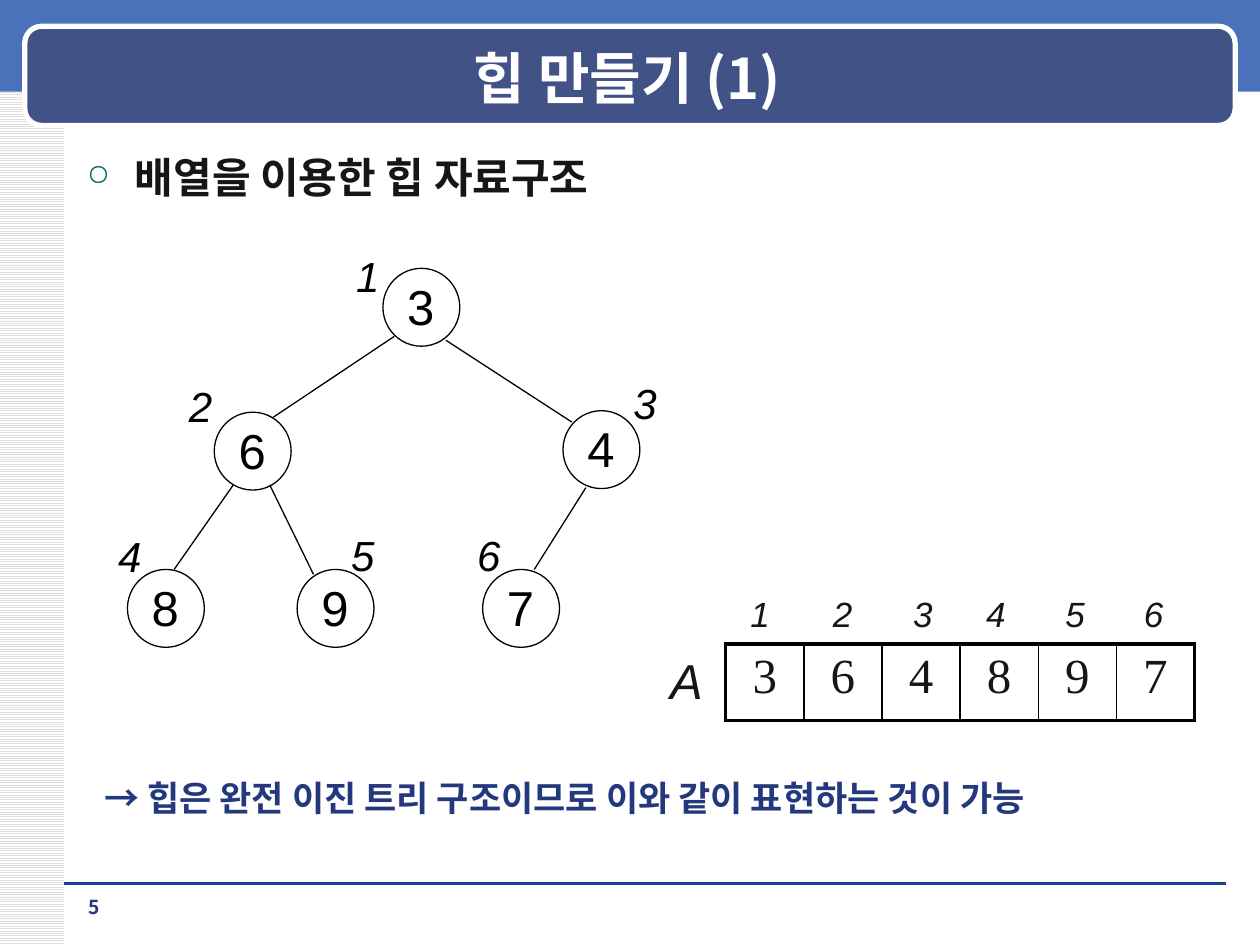
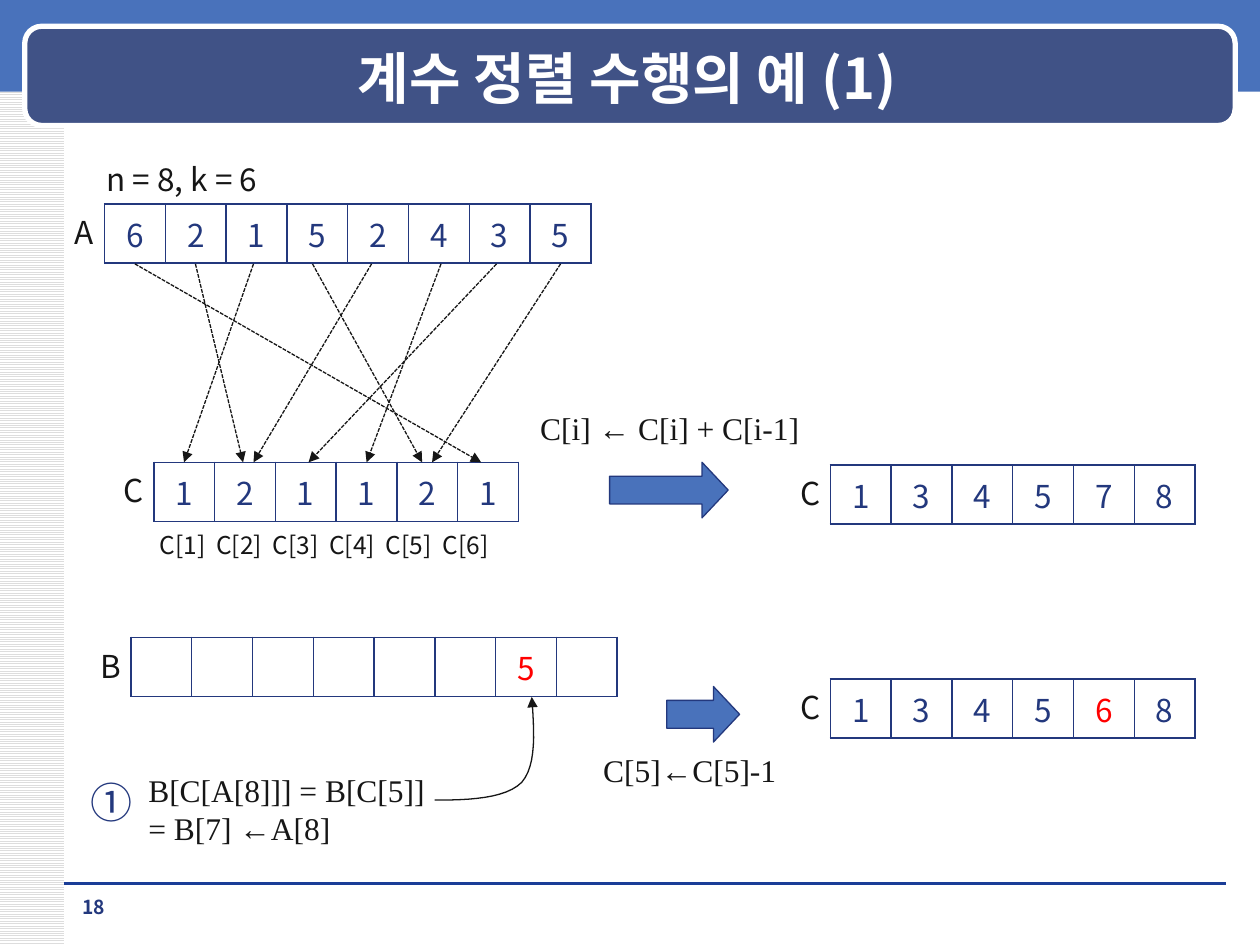
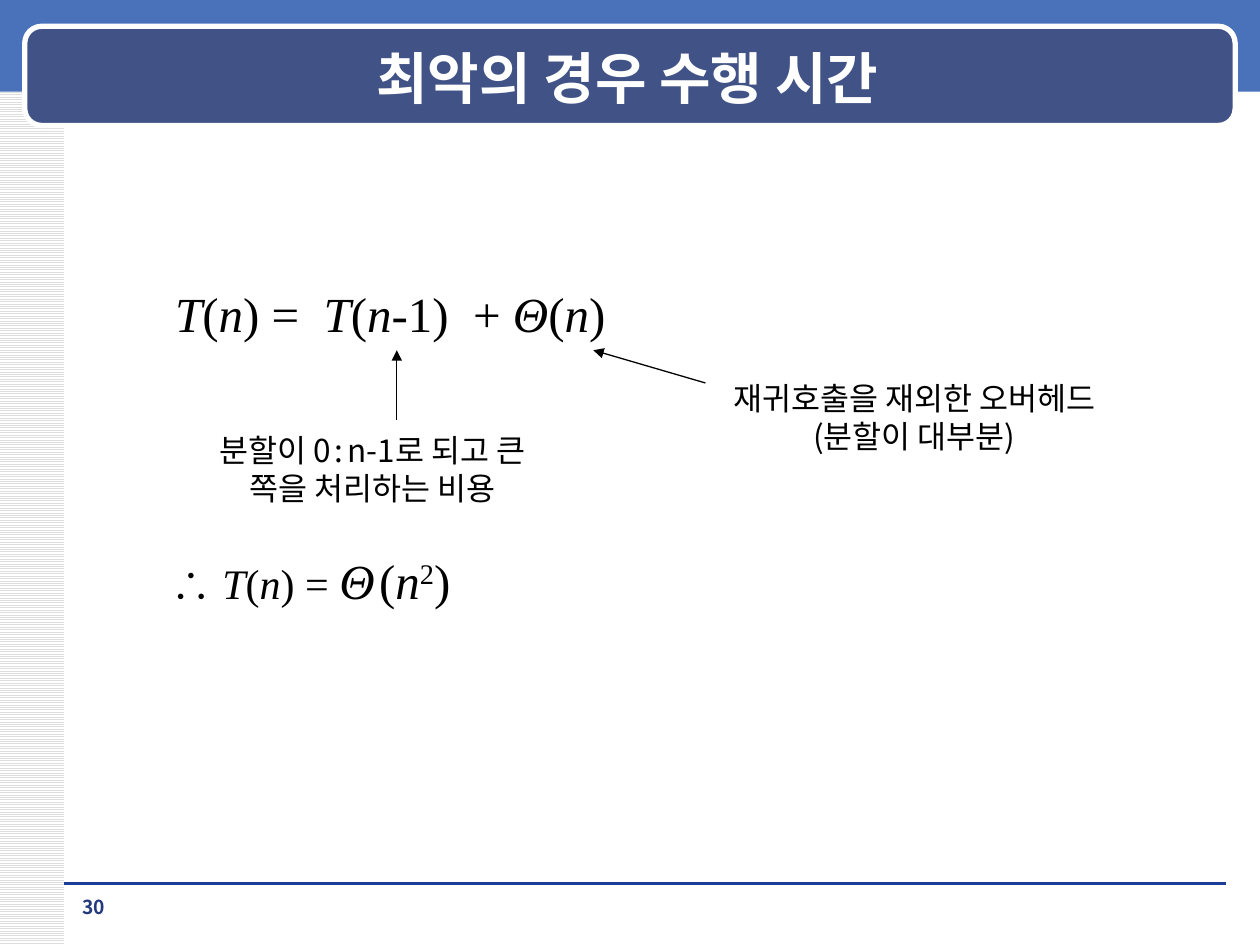
from dataclasses import dataclass, replace
from typing import Optional

from lxml.etree import SubElement as Sub
from pptx import Presentation
from pptx.dml.color import RGBColor as RGB
from pptx.enum.dml import MSO_LINE as Dash, MSO_PATTERN as Pat
from pptx.enum.shapes import MSO_CONNECTOR as Conn, MSO_SHAPE as Geo
from pptx.enum.text import MSO_ANCHOR as Anchor, MSO_AUTO_SIZE as Auto, PP_ALIGN as Align
from pptx.oxml.ns import qn
from pptx.util import Cm, Pt

# Colours and fonts
BLACK = RGB(0x00, 0x00, 0x00)
WHITE = RGB(0xFF, 0xFF, 0xFF)
DARK = RGB(0x16, 0x16, 0x16)
NAVY = RGB(0x23, 0x38, 0x7D)
BLUE = RGB(0x49, 0x72, 0xBB)
PLATE = RGB(0x40, 0x52, 0x86)
RULE = RGB(0x1A, 0x3D, 0x97)
GREY = RGB(0xDD, 0xDD, 0xDD)
TEAL = RGB(0x00, 0x66, 0x66)
RED = RGB(0xFF, 0x00, 0x00)
KR, SANS, SERIF, SIGN = "Noto Sans CJK KR", "Arial", "Times New Roman", "DejaVu Sans"


@dataclass(frozen=True)
class Style:
    size: float
    face: str = KR
    hue: RGB = DARK
    bold: bool = False
    ital: bool = False
    sup: bool = False
    gap: float = 0


@dataclass(frozen=True)
class Box:
    x: float
    y: float
    w: float
    h: float

    def cm(self) -> list:
        return [Cm(v) for v in (self.x, self.y, self.w, self.h)]


@dataclass(frozen=True)
class Node:
    key: str
    x: float
    y: float
    tag: str
    tx: float
    ty: float


@dataclass(frozen=True)
class Edge:
    x1: float
    y1: float
    x2: float
    y2: float


TITLE = Style(32, hue=WHITE, bold=True)
PAGE = Style(11, hue=NAVY, bold=True)
HEAD = Style(24, bold=True)
NOTE = Style(20, SIGN, NAVY, bold=True)
BODY = Style(18)
CELL = Style(18, hue=NAVY)
CODE = Style(18, SERIF)
KEY = Style(28, SANS, BLACK)
TAG = Style(24, SANS, BLACK, ital=True)
SPOT = Style(20, SANS, ital=True)
ROMAN = Style(28, SERIF, BLACK)
MATH = replace(ROMAN, ital=True)

# Heap drawn as a tree
NODES = [
    Node("3", 7.72, 5.41, "1", 6.93, 4.93),
    Node("6", 4.32, 8.31, "2", 3.56, 7.54),
    Node("4", 11.35, 8.28, "3", 12.52, 7.49),
    Node("8", 2.57, 11.48, "4", 2.13, 10.57),
    Node("9", 5.99, 11.48, "5", 6.83, 10.54),
    Node("7", 9.73, 11.48, "6", 9.37, 10.54),
]
EDGES = [
    Edge(7.95, 6.78, 5.51, 8.41),
    Edge(8.99, 6.86, 11.53, 8.51),
    Edge(4.7, 9.78, 3.51, 11.48),
    Edge(5.44, 9.78, 6.32, 11.58),
    Edge(11.81, 9.83, 10.77, 11.48),
]
SPOTS = [14.88, 16.54, 18.16, 19.63, 21.23, 22.81]

# Counting arrows: start and end across
COUNTS = [(2.72, 9.7), (3.94, 4.9), (5.11, 3.71), (6.3, 8.51),
          (7.49, 5.11), (8.89, 7.39), (10.01, 6.22), (11.3, 8.71)]

# Bend from the formula up to B[7], two cubic pieces
BEND = [
    [(8.76, 16.13), (9.47, 16.13), (10.19, 16.1), (10.52, 15.77)],
    [(10.52, 15.77), (10.82, 15.42), (10.77, 14.73), (10.72, 14.05)],
]


# Text
def put(para, text: str, style: Style) -> None:
    run = para.add_run()
    run.text = text
    font = run.font
    font.size, font.name = Pt(style.size), style.face
    font.bold, font.italic = style.bold, style.ital
    font.color.rgb = style.hue
    props = run._r.get_or_add_rPr()
    Sub(props, qn("a:ea"), typeface=KR)
    if style.sup:
        props.set("baseline", "30000")
    if style.gap:
        props.set("spc", str(int(style.gap * 100)))


def write(slide, box: Box, *lines: list, align=None, wrap: bool = False,
          grow: bool = True, anchor=Anchor.TOP):
    """Each line is a list of (text, style) runs."""
    frame = slide.shapes.add_textbox(*box.cm()).text_frame
    frame.word_wrap = wrap
    frame.auto_size = Auto.SHAPE_TO_FIT_TEXT if grow else Auto.NONE
    frame.vertical_anchor = anchor
    for i, line in enumerate(lines):
        para = frame.add_paragraph() if i else frame.paragraphs[0]
        para.alignment = align
        for text, style in line:
            put(para, text, style)
    return frame


def bullet(para) -> None:
    props = para._p.get_or_add_pPr()
    props.set("marL", str(Cm(0.97)))
    props.set("indent", str(-Cm(0.97)))
    Sub(Sub(props, qn("a:buClr")), qn("a:srgbClr"), val=str(TEAL))
    Sub(props, qn("a:buSzPct"), val="70000")
    Sub(props, qn("a:buChar"), char="○")


def tabs(para, step: float, count: int) -> None:
    stops = Sub(para._p.get_or_add_pPr(), qn("a:tabLst"))
    for i in range(1, count + 1):
        Sub(stops, qn("a:tab"), pos=str(Cm(step * i)), algn="l")


# Shapes and lines
def shape(slide, geo, box: Box, fill: Optional[RGB] = None,
          line: Optional[RGB] = None, width: float = 0.75):
    item = slide.shapes.add_shape(geo, *box.cm())
    item.shadow.inherit = False
    if fill is None:
        item.fill.background()
    else:
        item.fill.solid()
        item.fill.fore_color.rgb = fill
    if line is None:
        item.line.fill.background()
    else:
        item.line.color.rgb = line
        item.line.width = Pt(width)
    return item


def head(item) -> None:
    line = item._element.spPr.find(qn("a:ln"))
    Sub(line, qn("a:tailEnd"), type="triangle")


def link(slide, edge: Edge, hue: RGB = BLACK, width: float = 0.75,
         dash=None, arrow: bool = False) -> None:
    ends = [Cm(v) for v in (edge.x1, edge.y1, edge.x2, edge.y2)]
    item = slide.shapes.add_connector(Conn.STRAIGHT, *ends)
    item.line.color.rgb = hue
    item.line.width = Pt(width)
    if dash is not None:
        item.line.dash_style = dash
    if arrow:
        head(item)
    Sub(item._element.spPr, qn("a:effectLst"))


def bend(slide, parts: list, steps: int = 12) -> None:
    dots = [parts[0][0]]
    for part in parts:
        for i in range(1, steps + 1):
            t = i / steps
            u = 1 - t
            mix = (u ** 3, 3 * u * u * t, 3 * u * t * t, t ** 3)
            dots.append(tuple(sum(m * p[k] for m, p in zip(mix, part)) for k in (0, 1)))
    ends = [(Cm(x), Cm(y)) for x, y in dots]
    form = slide.shapes.build_freeform(*ends[0])
    form.add_line_segments(ends[1:], close=False)
    item = form.convert_to_shape()
    item.shadow.inherit = False
    item.fill.background()
    item.line.color.rgb = DARK
    item.line.width = Pt(0.75)
    head(item)


# Tables
def edges(cell, hue: RGB, widths: dict) -> None:
    props = cell._tc.get_or_add_tcPr()
    for side in "LRTB":
        line = Sub(props, qn(f"a:ln{side}"), w=str(Pt(widths[side])))
        Sub(Sub(line, qn("a:solidFill")), qn("a:srgbClr"), val=str(hue))


def strip(slide, box: Box, keys: list, style: Style, hue: RGB, rim: float = 1,
          anchor=Anchor.MIDDLE, hot: Optional[int] = None) -> None:
    """One row of cells; the hot one is red."""
    count = len(keys)
    grid = slide.shapes.add_table(1, count, *box.cm()).table
    grid.first_row = grid.horz_banding = False
    for i, key in enumerate(keys):
        grid.columns[i].width = Cm(box.w / count)
        cell = grid.cell(0, i)
        edges(cell, hue, {"L": 1 if i else rim, "R": rim if i == count - 1 else 1,
                          "T": rim, "B": rim})
        cell.fill.background()
        cell.vertical_anchor = anchor
        para = cell.text_frame.paragraphs[0]
        para.alignment = Align.CENTER
        if key:
            put(para, key, replace(style, hue=RED) if i == hot else style)


def array(slide, name: str, x: float, y: float, keys: list,
          hot: Optional[int] = None) -> None:
    strip(slide, Box(x, y, 9.8 / 8 * len(keys), 1.19), keys, CELL, NAVY, hot=hot)
    write(slide, Box(x - 0.86, y + 0.06, 0.94, 1.02), [(name, BODY)])


# What every slide shares
def start(deck, title: str, page: str):
    slide = deck.slides.add_slide(deck.slide_layouts[6])
    side = shape(slide, Geo.RECTANGLE, Box(0, 0, 1.3, 19.05))
    side.fill.patterned()
    side.fill.pattern = Pat.LIGHT_HORIZONTAL
    side.fill.fore_color.rgb = GREY
    side.fill.back_color.rgb = WHITE
    shape(slide, Geo.RECTANGLE, Box(0, -0.08, 25.4, 1.93), BLUE)
    link(slide, Edge(1.3, 17.81, 24.71, 17.81), RULE, 0)
    plate = shape(slide, Geo.ROUNDED_RECTANGLE, Box(0.5, 0.53, 24.4, 2), PLATE, WHITE, 3)
    plate.adjustments[0] = 0.17
    write(slide, Box(1.8, 0.76, 21.7, 1.57), [(title, TITLE)],
          align=Align.CENTER, wrap=True, grow=False, anchor=Anchor.MIDDLE)
    write(slide, Box(1.3, 17.93, 1.19, 0.69), [(page, PAGE)],
          align=Align.CENTER, wrap=True, grow=False)
    return slide


def heap(deck) -> None:
    slide = start(deck, "힙 만들기 (1)", "5")
    frame = write(slide, Box(1.5, 2.92, 22.6, 14.6),
                  [("배열을 이용한 힙 자료구조", HEAD)], wrap=True, grow=False)
    bullet(frame.paragraphs[0])
    # Tree
    for node in NODES:
        shape(slide, Geo.OVAL, Box(node.x, node.y, 1.55, 1.57), line=BLACK)
        write(slide, Box(node.x + 0.24, node.y + 0.04, 1.07, 1.45), [(node.key, KEY)])
        write(slide, Box(node.tx, node.ty, 0.99, 1.27), [(node.tag, TAG)])
    for edge in EDGES:
        link(slide, edge)
    # Array
    strip(slide, Box(14.63, 12.98, 9.45, 1.55), [node.key for node in NODES],
          replace(ROMAN, hue=DARK), BLACK, rim=2.25, anchor=Anchor.TOP)
    write(slide, Box(13.26, 12.98, 1.17, 1.45), [("A", replace(SPOT, size=28))])
    for node, x in zip(NODES, SPOTS):
        write(slide, Box(x, 11.81, 0.91, 1.09), [(node.tag, SPOT)])
    write(slide, Box(1.85, 15.52, 21.64, 1.12),
          [("→ 힙은 완전 이진 트리 구조이므로 이와 같이 표현하는 것이 가능", NOTE)], wrap=True)


def count(deck) -> None:
    slide = start(deck, "계수 정렬 수행의 예 (1)", "18")
    write(slide, Box(1.9, 3.1, 4.09, 1.02), [("n = 8, k = 6", BODY)])
    # Arrays
    array(slide, "A", 2.11, 4.11, list("62152435"))
    array(slide, "C", 3.1, 9.32, list("121121"))
    array(slide, "C", 16.74, 9.37, list("134578"))
    array(slide, "B", 2.64, 12.85, [""] * 6 + ["5", ""], hot=6)
    array(slide, "C", 16.74, 13.69, list("134568"), hot=4)
    names = "\t".join(f"C[{i}]" for i in range(1, 7))
    frame = write(slide, Box(2.97, 10.57, 7.62, 0.86),
                  [(names, replace(BODY, size=14))], wrap=True)
    tabs(frame.paragraphs[0], 1.14, 5)
    # Arrows
    for x1, x2 in COUNTS:
        link(slide, Edge(x1, 5.32, x2, 9.32), DARK, dash=Dash.SQUARE_DOT, arrow=True)
    for box in (Box(12.29, 9.32, 2.39, 1.12), Box(13.44, 13.84, 1.47, 1.12)):
        arrow = shape(slide, Geo.RIGHT_ARROW, box, BLUE, NAVY)
        arrow.adjustments[1] = 0.47
    bend(slide, BEND)
    # Formulas
    write(slide, Box(10.64, 8.13, 6.17, 1.02), [("C[i] ← C[i] + C[i-1]", CODE)])
    write(slide, Box(11.91, 15.01, 4.04, 1.02), [("C[5]←C[5]-1", CODE)])
    write(slide, Box(2.74, 15.42, 6.15, 1.8),
          [("B[C[A[8]]] = B[C[5]]", CODE)], [("= B[7] ←A[8]", CODE)])
    write(slide, Box(1.57, 15.52, 1.37, 1.27), [("①", replace(CELL, size=24))])


def worst(deck) -> None:
    slide = start(deck, "최악의 경우 수행 시간", "30")
    # Formulas
    wide = replace(ROMAN, gap=7)
    write(slide, Box(3.28, 5.59, 9.27, 1.45), [
        ("T", MATH), ("(", ROMAN), ("n", MATH), (") =", ROMAN), (" ", wide),
        ("T", MATH), ("(", ROMAN), ("n", MATH), ("-1)", ROMAN), (" ", wide),
        ("+ ", ROMAN), ("Θ", MATH), ("(", ROMAN), ("n", MATH), (")", ROMAN)])
    slant, plain = replace(MATH, size=24), replace(ROMAN, size=24)
    write(slide, Box(3.18, 10.97, 6.22, 1.45), [
        ("∴ T", slant), ("(", plain), ("n", slant), (") = ", plain),
        ("Θ", MATH), (" ", replace(MATH, size=10)), ("(", ROMAN), ("n", MATH),
        ("2", replace(ROMAN, sup=True)), (")", ROMAN)])
    # Remarks
    text = replace(BODY, hue=BLACK)
    thin = replace(text, size=10)
    write(slide, Box(3.91, 8.56, 7.19, 1.8), [
        ("분할이 0", text), (" ", thin), (":", text), (" ", thin),
        ("n-1로 되고 큰 쪽을 처리하는 비용", text)], align=Align.CENTER, wrap=True)
    write(slide, Box(14.1, 7.52, 8.66, 1.8), [("재귀호출을 재외한 오버헤드", text)],
          [("(분할이 대부분)", text)], align=Align.CENTER)
    for edge in (Edge(8, 8.46, 8, 7.06), Edge(14.22, 7.72, 11.96, 7.06)):
        link(slide, edge, arrow=True)


def main() -> None:
    deck = Presentation()
    deck.slide_width, deck.slide_height = Cm(25.4), Cm(19.05)
    for build in (heap, count, worst):
        build(deck)
    deck.save("out.pptx")


if __name__ == "__main__":
    main()
